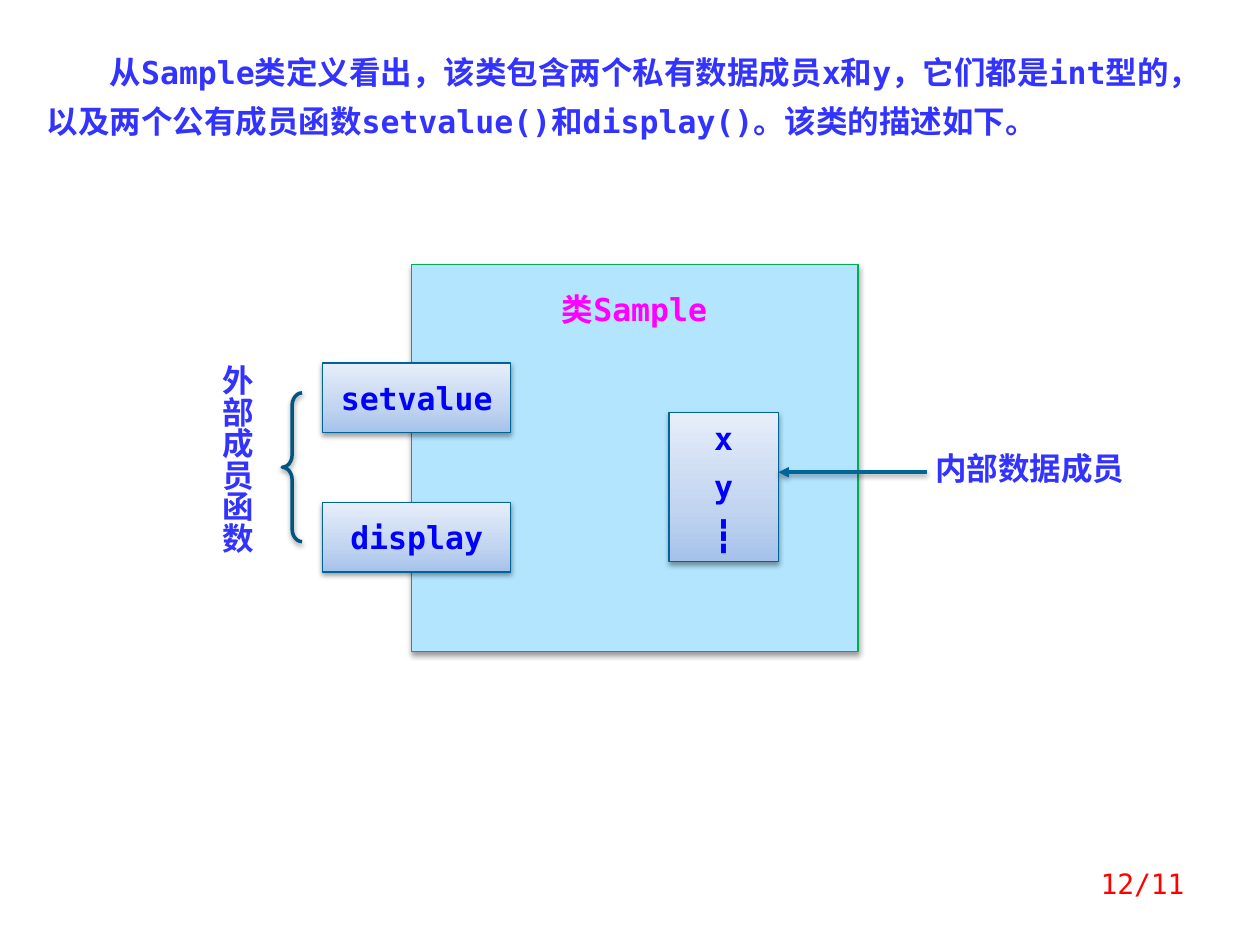
from lxml.etree import SubElement
from pptx import Presentation
from pptx.dml.color import RGBColor
from pptx.enum.shapes import MSO_CONNECTOR, MSO_SHAPE
from pptx.enum.text import MSO_ANCHOR as Anchor, PP_ALIGN as Align
from pptx.oxml.ns import qn
from pptx.util import Cm, Pt

COLORS = {"panel": "B3E5FF", "panel_edge": "00B050", "box_edge": "006496",
          "arrow": "006699", "brace": "005682", "label": "3333FF",
          "code": "0000FF", "title": "FF00FF", "number": "FF0000",
          "shadow": "000000"}
BOX_GRADIENT = [(0, "A5C2EB"), (35, "C1D4F0"), (100, "E7EEFA")]
MONO, CJK = "DejaVu Sans Mono", "Noto Sans CJK SC"

INTRO = ("从Sample类定义看出，该类包含两个私有数据成员x和y，它们都是int型的，"
         "以及两个公有成员函数setvalue()和display()。该类的描述如下。")
FUNCTIONS = ["setvalue", "display"]
MEMBERS = ["x", "y", "┇"]

# Left, top, width, height in centimetres
PANEL = (8.3, 5.33, 9, 7.8)
FUNCTION_BOX = (6.5, 7.32, 3.8, 1.4)
FUNCTION_STEP = 2.81
DATA_BOX = (13.49, 8.32, 2.2, 3)
BRACE = (5.69, 7.92, 0.4, 3)
ARROW_START, ARROW_Y = 18.69, 9.52


def add_shadow(shape):
    props = shape._element.spPr
    effects = props.find(qn("a:effectLst"))
    if effects is None:
        effects = SubElement(props, qn("a:effectLst"))
    outer = SubElement(effects, qn("a:outerShdw"), blurRad=str(Pt(3.1)),
                       dist=str(Pt(1.6)), dir="5400000", rotWithShape="0")
    color = SubElement(outer, qn("a:srgbClr"), val=COLORS["shadow"])
    SubElement(color, qn("a:alpha"), val="38000")


def set_line(shape, color, width):
    shape.line.color.rgb = RGBColor.from_string(COLORS[color])
    shape.line.width = Pt(width)


def add_shape(page, kind, place, line, width=0.75, fill=None, gradient=None):
    shape = page.shapes.add_shape(kind, *map(Cm, place))
    shape.shadow.inherit = False
    if gradient:
        shape.fill.gradient()
        shape.fill.gradient_angle = 90
        stops = shape._element.spPr.find(".//" + qn("a:gsLst"))
        stops.clear()
        for percent, color in gradient:
            stop = SubElement(stops, qn("a:gs"), pos=str(percent * 1000))
            SubElement(stop, qn("a:srgbClr"), val=color)
    elif fill:
        shape.fill.solid()
        shape.fill.fore_color.rgb = RGBColor.from_string(COLORS[fill])
    else:
        shape.fill.background()
    set_line(shape, line, width)
    add_shadow(shape)
    return shape


def write(shape, *lines, color, size=18, bold=True, font=MONO, align=Align.CENTER,
          anchor=Anchor.TOP, wrap=True, gap=0, spacing=None, indent=0, vertical=False):
    frame = shape.text_frame
    frame.word_wrap, frame.vertical_anchor = wrap, anchor
    if vertical:
        frame._txBody.bodyPr.set("vert", "eaVert")
    for index, line in enumerate(lines):
        para = frame.add_paragraph() if index else frame.paragraphs[0]
        para.alignment = align
        if index:
            para.space_before = Pt(gap)
        if spacing:
            para.line_spacing = Pt(spacing)
        if indent:
            para._p.get_or_add_pPr().set("indent", str(Cm(indent)))
        span = para.add_run()
        span.text = line
        span.font.name, span.font.size, span.font.bold = font, Pt(size), bold
        span.font.color.rgb = RGBColor.from_string(COLORS[color])
        SubElement(span.font._element, qn("a:ea"), typeface=CJK)


def add_text(page, place, text, **style):
    write(page.shapes.add_textbox(*map(Cm, place)), text, **style)


def add_arrow(page, start, end, y):
    arrow = page.shapes.add_connector(MSO_CONNECTOR.STRAIGHT,
                                      Cm(start), Cm(y), Cm(end), Cm(y))
    set_line(arrow, "arrow", 2)
    SubElement(arrow.line._get_or_add_ln(), qn("a:tailEnd"), type="triangle")
    add_shadow(arrow)


def main():
    deck = Presentation()
    deck.slide_width, deck.slide_height = Cm(25.4), Cm(19.05)
    page = deck.slides.add_slide(deck.slide_layouts[6])

    add_shape(page, MSO_SHAPE.RECTANGLE, PANEL, "panel_edge", fill="panel")
    add_text(page, (0.69, 0.71, 24, 2.16), INTRO, color="label",
             align=Align.LEFT, spacing=28, indent=1.27)

    left, top, width, height = FUNCTION_BOX
    for row, name in enumerate(FUNCTIONS):
        place = (left, top + row * FUNCTION_STEP, width, height)
        box = add_shape(page, MSO_SHAPE.RECTANGLE, place, "box_edge",
                        gradient=BOX_GRADIENT)
        write(box, name, color="code", anchor=Anchor.MIDDLE, wrap=False)

    add_text(page, (10.69, 5.72, 4.2, 1.02), "类Sample", color="title")
    data_box = add_shape(page, MSO_SHAPE.RECTANGLE, DATA_BOX, "box_edge",
                         gradient=BOX_GRADIENT)
    write(data_box, *MEMBERS, color="code", gap=6)

    add_arrow(page, ARROW_START, DATA_BOX[0] + DATA_BOX[2], ARROW_Y)
    add_text(page, (18.26, 8.92, 5, 1.02), "内部数据成员", color="label", font=CJK)

    brace = add_shape(page, MSO_SHAPE.LEFT_BRACE, BRACE, "brace", width=2)
    brace.adjustments[0] = 0.63
    add_text(page, (4.01, 7.11, 1.27, 5), "外部成员函数", color="label",
             font=CJK, vertical=True)

    add_text(page, (18.21, 17.35, 5.92, 1.27), "12/11", color="number",
             size=16, bold=False, align=Align.RIGHT)
    deck.save("out.pptx")


if __name__ == "__main__":
    main()
